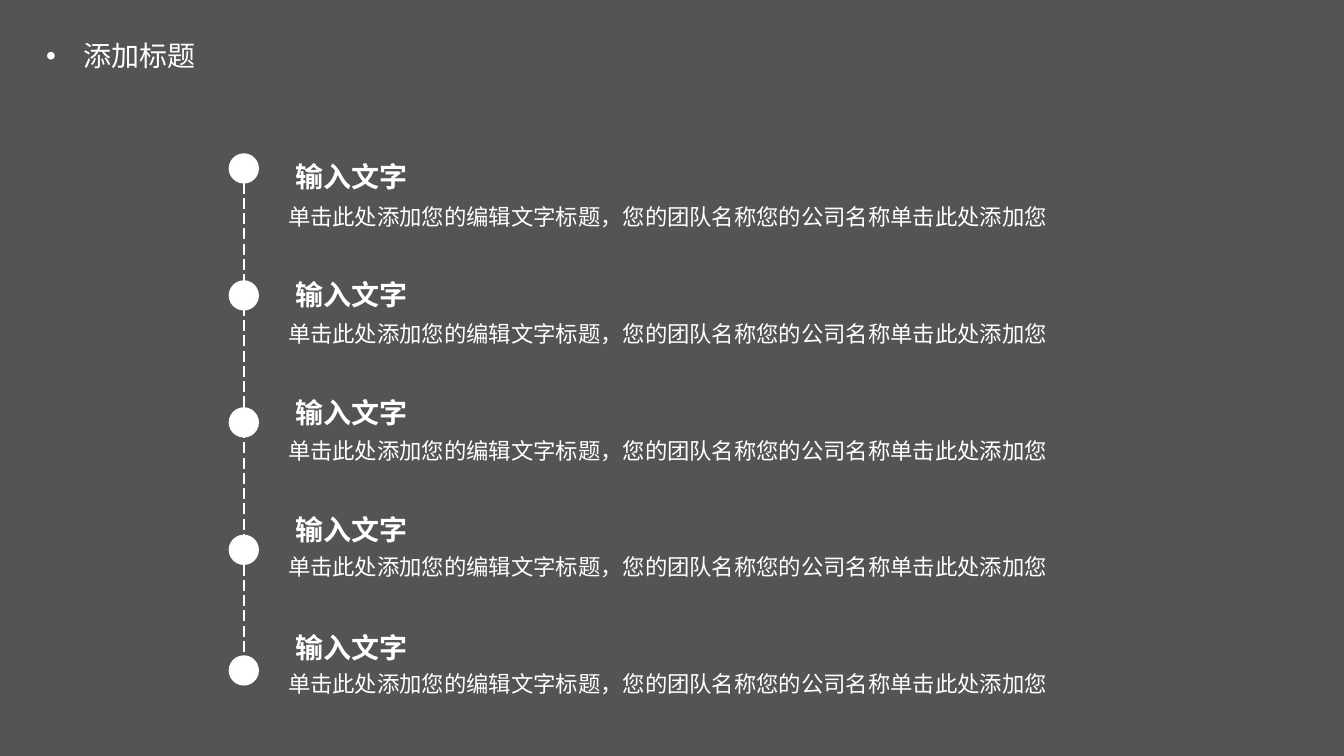
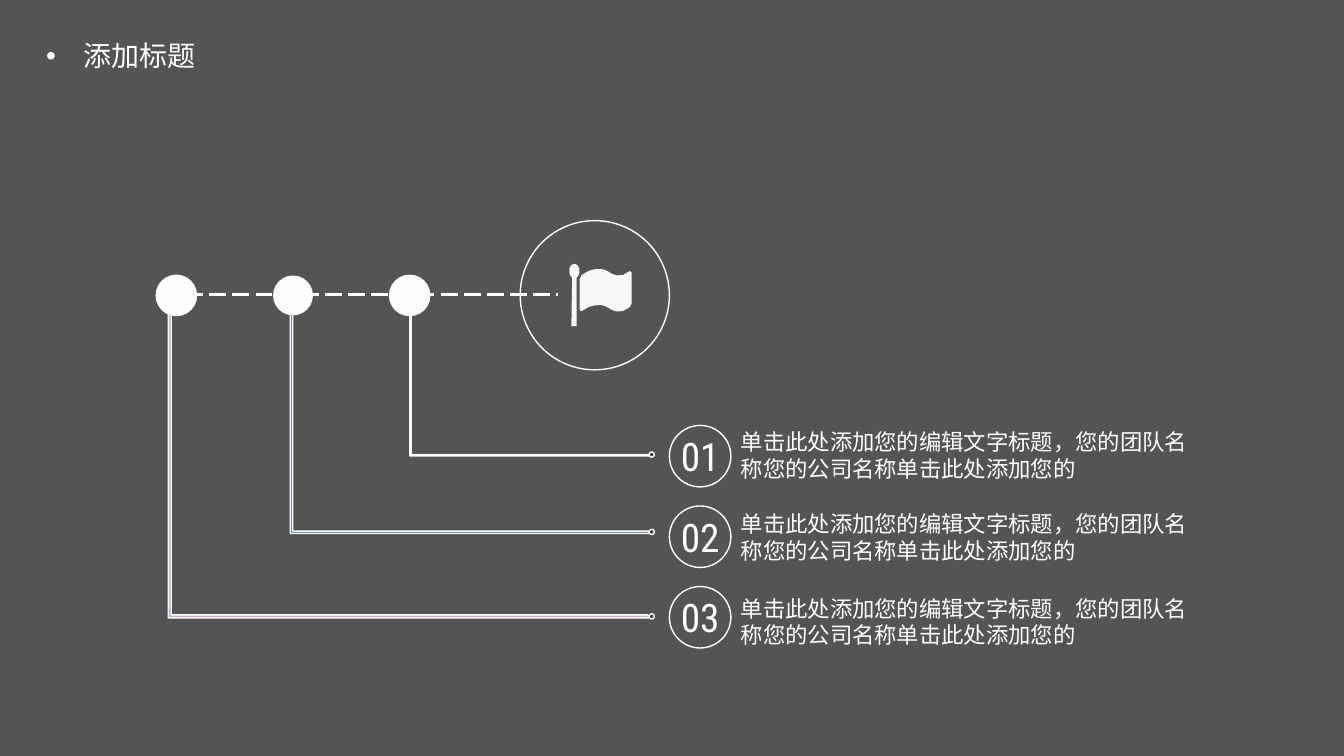
from dataclasses import dataclass
from math import cos, radians, sin

from lxml import etree
from pptx import Presentation
from pptx import util as u
from pptx.dml import color
from pptx.enum import dml, shapes, text
from pptx.oxml import ns


@dataclass(frozen=True)
class Theme:
    background: str = "545454"
    white: str = "FFFFFF"
    line: str = "FDFDFD"
    flag: str = "F7F7F7"
    end_dot: str = "404040"
    elbows: tuple = ("EFA9B4", "1F4E79", "CAAED1")
    font: str = "Noto Sans CJK SC"
    number_font: str = "Roboto Condensed"
    heading_size: int = 20
    body_size: int = 16
    number_size: int = 28


THEME = Theme()
TITLE = "添加标题"
HEADING = "输入文字"
SENTENCE = "单击此处添加您的编辑文字标题，您的团队名称您的公司名称单击此处添加您"


def rgb(value):
    return color.RGBColor.from_string(value)


def apply(target, values):
    for name, value in values.items():
        setattr(target, name, value)


def place(item, left, top, width, height):
    apply(item, {"left": u.Cm(left), "top": u.Cm(top),
                 "width": u.Cm(width), "height": u.Cm(height)})


def write(para, words, size, font=THEME.font, bold=False):
    span = para.add_run()
    span.text = words
    apply(span.font, {"name": font, "size": u.Pt(size), "bold": bold})
    span.font.color.rgb = rgb(THEME.white)
    east_asian = etree.SubElement(span._r.get_or_add_rPr(), ns.qn("a:ea"))
    east_asian.set("typeface", font)


def add_text(page, words, left, top, width, height, size, bold=False):
    box = page.shapes.add_textbox(u.Cm(left), u.Cm(top), u.Cm(width), u.Cm(height))
    apply(box.text_frame, {"word_wrap": True,
                           "auto_size": text.MSO_AUTO_SIZE.SHAPE_TO_FIT_TEXT})
    write(box.text_frame.paragraphs[0], words, size, bold=bold)


def paint(shape, fill, line, weight=1):
    shape.shadow.inherit = False
    if fill:
        shape.fill.solid()
        shape.fill.fore_color.rgb = rgb(fill)
    else:
        shape.fill.background()
    if line:
        shape.line.color.rgb = rgb(line)
        shape.line.width = u.Pt(weight)
    else:
        shape.line.fill.background()


def add_circle(page, left, top, size, fill=None, line=THEME.line, weight=1):
    circle = page.shapes.add_shape(shapes.MSO_SHAPE.OVAL, u.Cm(left), u.Cm(top),
                                   u.Cm(size), u.Cm(size))
    paint(circle, fill, line, weight)
    return circle


def add_number(page, words, left, top, size):
    ring = add_circle(page, left, top, size, line=THEME.white)
    apply(ring.text_frame, {"margin_left": 0, "margin_right": 0, "margin_top": 0,
                            "margin_bottom": 0, "word_wrap": False,
                            "vertical_anchor": text.MSO_ANCHOR.MIDDLE})
    para = ring.text_frame.paragraphs[0]
    para.alignment = text.PP_ALIGN.CENTER
    write(para, words, THEME.number_size, THEME.number_font)


def add_dashes(page, start, end, weight):
    dashes = page.shapes.add_connector(shapes.MSO_CONNECTOR.STRAIGHT,
                                       *(u.Cm(value) for value in start + end))
    dashes.line.color.rgb = rgb(THEME.line)
    apply(dashes.line, {"width": u.Pt(weight),
                        "dash_style": dml.MSO_LINE.LONG_DASH})
    etree.SubElement(dashes._element.spPr, ns.qn("a:effectLst"))


def add_elbow(page, left, top, right, bottom, fill):
    across, down = right - left, bottom - top
    center_x, center_y = (left + right) / 2, (top + bottom) / 2
    elbow = page.shapes.add_shape(
        shapes.MSO_SHAPE.HALF_FRAME, u.Cm(center_x - down / 2),
        u.Cm(center_y - across / 2), u.Cm(down), u.Cm(across))
    elbow.rotation = 270
    elbow.adjustments[0] = elbow.adjustments[1] = 0.01
    paint(elbow, fill, THEME.line)


def add_flag(page, left, top):
    wave = [(31, 28), (48, 18), (61, 14), (71, 13), (81, 13), (89, 15), (99, 20),
            (107, 25), (119, 29), (135, 28), (152, 18)]
    hem = [(x, y + 91) for x, y in reversed(wave)]
    cloth = [(26, 38), *wave, (157, 22), (157, 99), *hem, (26, 117)]
    knob = [(round(12.5 + 13 * cos(radians(angle))),
             round(18 + 18 * sin(radians(angle)))) for angle in range(115, 426, 10)]
    pole = [*knob, (18, 157), (5, 157)]
    builder = page.shapes.build_freeform(*pole[0], scale=u.Cm(0.01))
    builder.add_line_segments(pole[1:], close=True)
    builder.move_to(*cloth[0])
    builder.add_line_segments(cloth[1:], close=True)
    paint(builder.convert_to_shape(u.Cm(left), u.Cm(top)), THEME.flag, None)


def prepare_layout(deck):
    fill = deck.slide_master.background.fill
    fill.solid()
    fill.fore_color.rgb = rgb(THEME.background)
    layout = deck.slide_layouts.get_by_name("Title Only")
    title = next(item for item in layout.placeholders
                 if item.placeholder_format.type == shapes.PP_PLACEHOLDER.TITLE)
    place(title, 0.79, 0.84, 4.52, 1.12)
    return layout


def add_page(deck, layout, words):
    page = deck.slides.add_slide(layout)
    frame = page.shapes.title.text_frame
    apply(frame, {"auto_size": text.MSO_AUTO_SIZE.NONE, "word_wrap": True,
                  "vertical_anchor": text.MSO_ANCHOR.MIDDLE})
    para = frame.paragraphs[0]
    para.alignment = text.PP_ALIGN.CENTER
    indent = u.Cm(0.95)
    properties = para._p.get_or_add_pPr()
    properties.set("marL", str(indent))
    properties.set("indent", str(-indent))
    etree.SubElement(properties, ns.qn("a:buFont")).set("typeface", "Arial")
    etree.SubElement(properties, ns.qn("a:buChar")).set("char", "•")
    write(para, words, THEME.heading_size)
    return page


def build_timeline(page):
    add_dashes(page, (6.15, 4.6), (6.15, 17.04), 1)
    for row, dot_top in enumerate((3.89, 7.09, 10.29, 13.5, 16.54)):
        add_circle(page, 5.79, dot_top, 0.71, THEME.white, weight=1.5)
        add_text(page, SENTENCE, 7.01, 5 + 2.94 * row, 23.01, 0.94, THEME.body_size)
        add_text(page, HEADING, 7.19, 3.89 + 2.97 * row, 5.33, 1.12,
                 THEME.heading_size, bold=True)


def build_milestones(page):
    add_dashes(page, (4.11, 7.42), (14.07, 7.42), 1.5)
    add_circle(page, 13.11, 5.56, 3.76)
    for column, weight in enumerate((2.25, 1, 2.25)):
        add_circle(page, 3.96 + 2.94 * column, 6.96, 0.97, THEME.line, weight=weight)
    elbows = ((10.33, 11.49, 10.67), (7.32, 13.44, 12.73), (4.24, 15.57, 14.86))
    for row, (left, bottom, text_top) in enumerate(elbows):
        add_elbow(page, left, 7.89, 16.43, bottom, THEME.elbows[row])
        add_circle(page, 16.36, bottom - 0.1, 0.13, THEME.end_dot, THEME.white)
        add_number(page, f"{row + 1:02}", 16.87, 10.72 + 2.03 * row, 1.55)
        add_text(page, SENTENCE + "的", 18.42, text_top, 12.29, 1.63, THEME.body_size)
    add_flag(page, 14.35, 6.65)


def main():
    deck = Presentation()
    apply(deck, {"slide_width": u.Cm(33.87), "slide_height": u.Cm(19.05)})
    layout = prepare_layout(deck)
    for build in (build_timeline, build_milestones):
        build(add_page(deck, layout, TITLE))
    deck.save("out.pptx")


if __name__ == "__main__":
    main()
